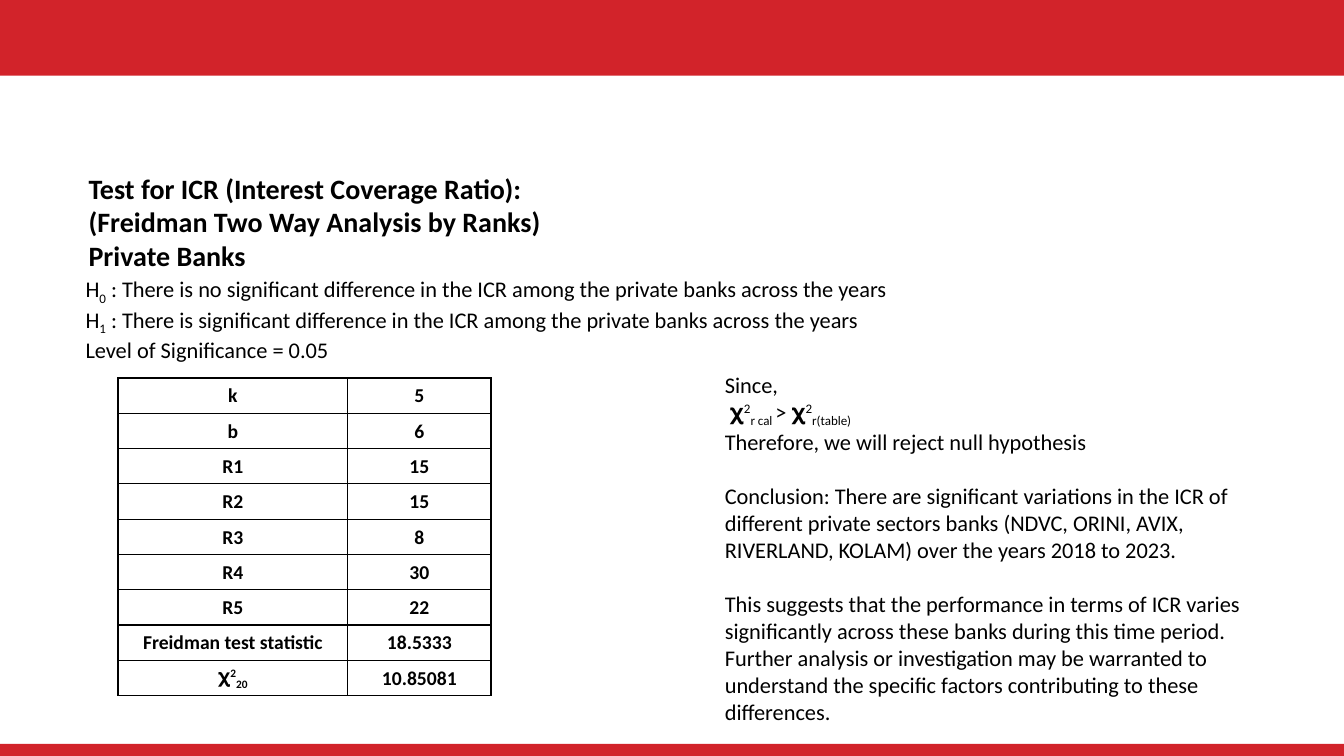
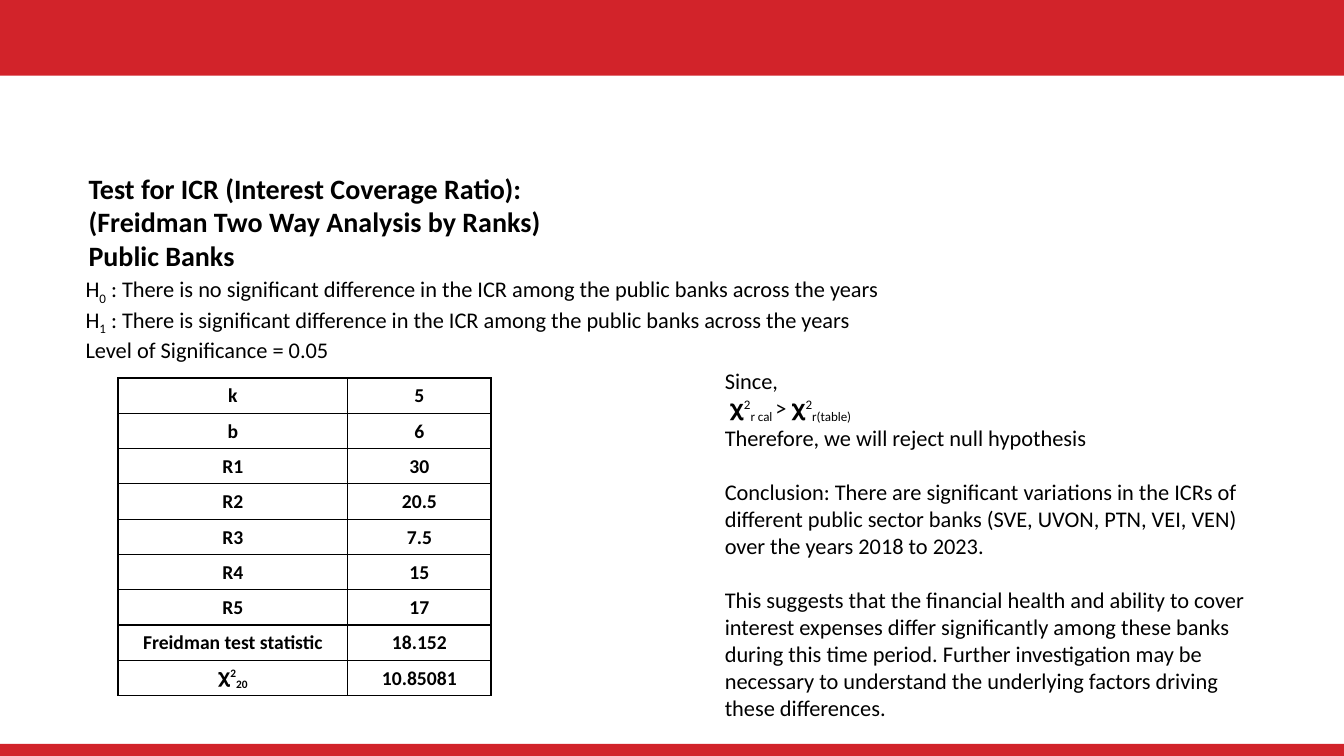
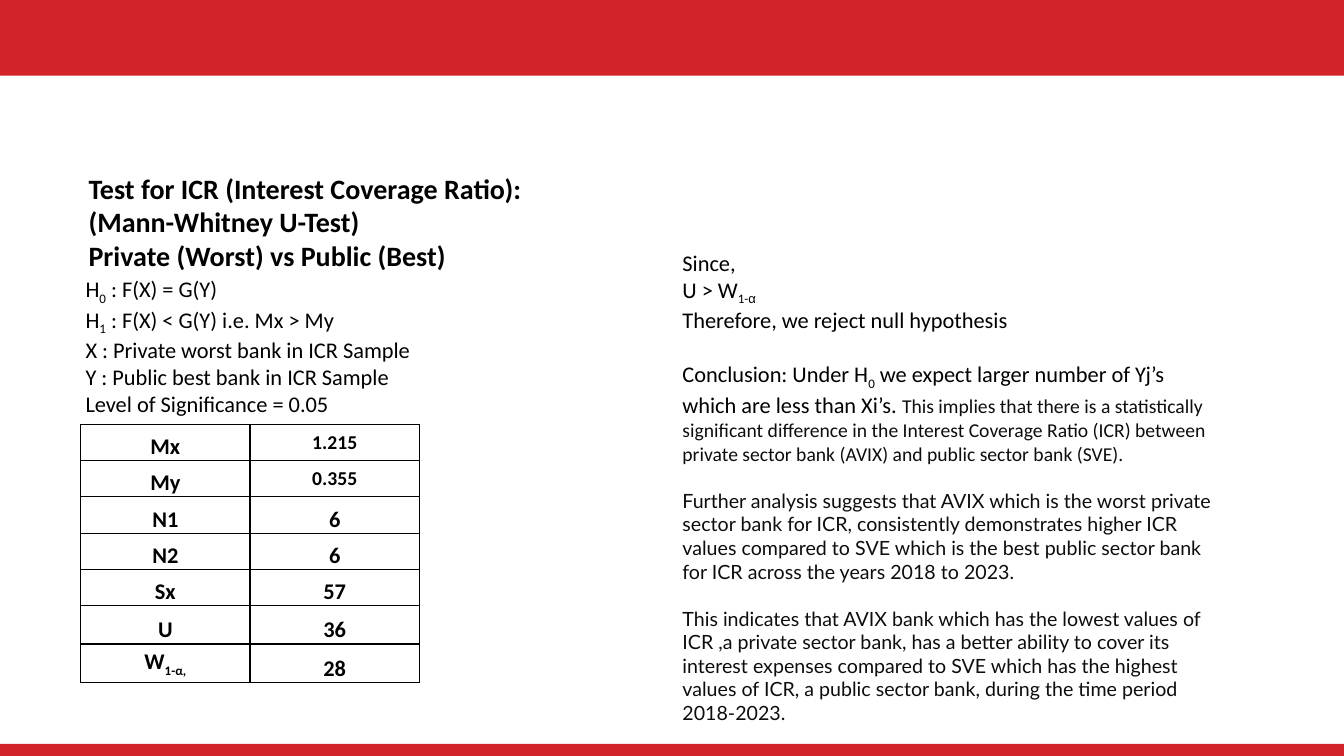
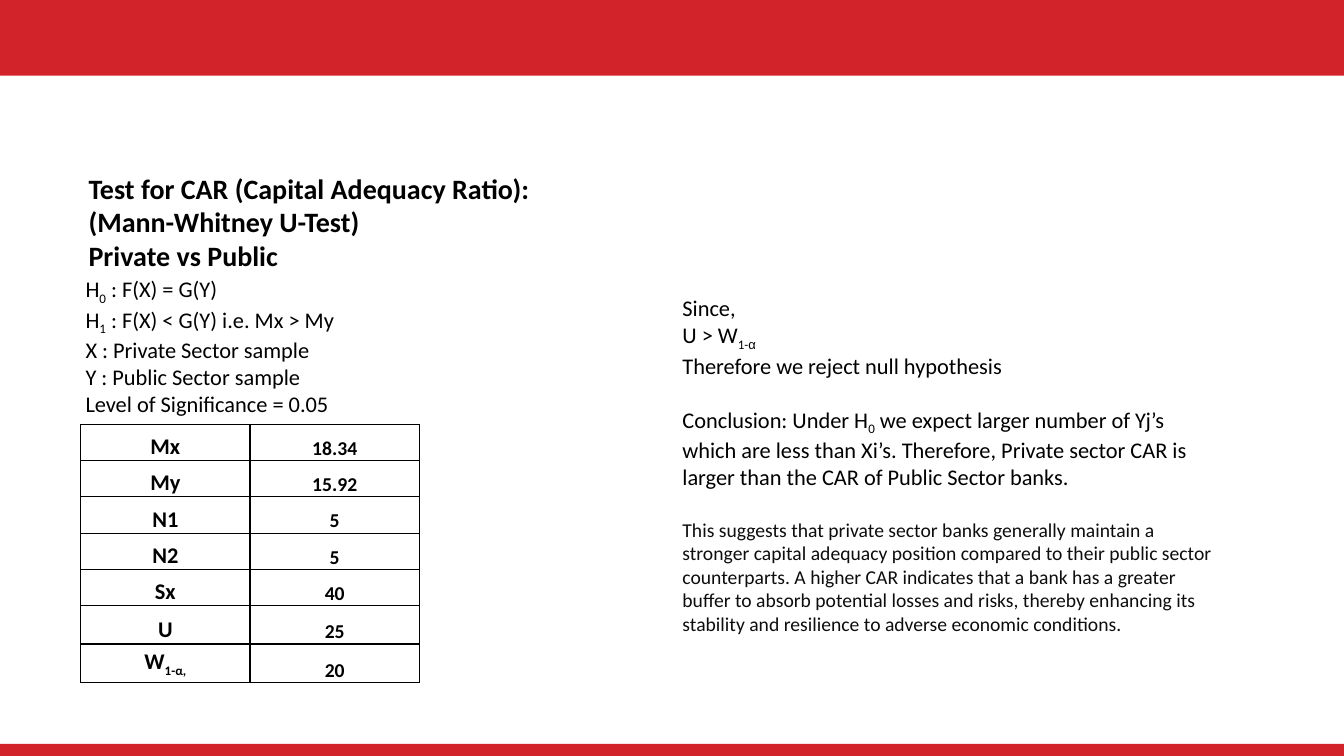
from lxml import etree
from pptx import Presentation
from pptx.dml.color import RGBColor
from pptx.enum import shapes, text
from pptx.oxml import ns
from pptx.util import Inches, Pt

RED = RGBColor(0xD2, 0x23, 0x2A)
BLACK = RGBColor(0, 0, 0)
INK = RGBColor(0x0D, 0x0D, 0x0D)
MIDDLE, BOTTOM = text.MSO_ANCHOR.MIDDLE, text.MSO_ANCHOR.BOTTOM

BANDS = [(0, 0, 13.33, 0.75), (0, 7.38, 13.33, 0.12)]
TITLE_BOX = (0.78, 1.65, 6.75, 1.11)
BASE = {"name": "Calibri", "size": Pt(16), "bold": False, "color": BLACK, "baseline": 0}
TITLE = {"size": Pt(20), "bold": True}
SMALL = {"size": Pt(14), "color": INK}
MARKS = {
    "_": {"baseline": -25000},
    "^": {"baseline": 30000},
    "@": {"baseline": -25000, "name": "Arial"},
    "~": SMALL,
    "*": {**SMALL, "name": "Lato"},
}

FRIEDMAN = {
    "hypotheses_box": (0.75, 2.68, 8.23, 0.91),
    "table_at": (1.17, 3.75),
    "cols": [2.28, 1.42],
    "rows": [0.35] * 9,
    "labels": ["k", "b", "R1", "R2", "R3", "R4", "R5", "Freidman test statistic", "𝛘|^2|_20"],
    "label_sizes": [14] * 9,
    "value_sizes": [14] * 9,
    "label_anchors": [MIDDLE] * 9,
    "value_anchors": [MIDDLE] * 9,
}
MANN_WHITNEY = {
    "hypotheses_box": (0.75, 2.68, 4.14, 1.45),
    "table_at": (0.8, 4.21),
    "cols": [1.68, 1.68],
    "rows": [0.36] * 5 + [0.38] * 2,
    "labels": ["Mx", "My", "N1", "N2", "Sx", "U", "W|_1-α,"],
    "label_sizes": [16] * 7,
    "value_sizes": [14] * 7,
    "label_anchors": [BOTTOM] * 6 + [MIDDLE],
    "value_anchors": [BOTTOM] * 7,
}
ICR = "Test for ICR (Interest Coverage Ratio):"
LEVEL = "Level of Significance = 0.05"
CHI_RESULT = ["Since,", " 𝛘|^2|_r cal |> 𝛘|^2|_r(table)", "Therefore, we will reject null hypothesis"]
U_RESULT = ["Since,", "U > W|_1-|@α"]
U_HYPOTHESES = ["H|_0| : F(X) = G(Y)", "H|_1| : F(X) < G(Y) i.e. Mx > My"]
U_CONCLUSION = "Conclusion: Under H|_0| we expect larger number of Yj’s which are less than Xi’s. "


def friedman_hypotheses(sector):
    claim = f"significant difference in the ICR among the {sector} banks across the years"
    return [f"H|_0| : There is no {claim}", f"H|_1| : There is {claim}", LEVEL]


SLIDES = [
    {
        **FRIEDMAN,
        "title": [ICR, "(Freidman Two Way Analysis by Ranks)", "Private Banks"],
        "hypotheses": friedman_hypotheses("private"),
        "values": ["5", "6", "15", "15", "8", "30", "22", "18.5333", "10.85081"],
        "result_box": (7.09, 3.63, 5.52, 3.87),
        "result": CHI_RESULT,
        "remarks": [
            (19.5, "Conclusion: There are significant variations in the ICR of different private sectors "
                   "banks (NDVC, ORINI, AVIX, RIVERLAND, KOLAM) over the years 2018 to 2023."),
            (19.5, "This suggests that the performance in terms of ICR varies significantly across these "
                   "banks during this time period. Further analysis or investigation may be warranted to "
                   "understand the specific factors contributing to these differences."),
        ],
    },
    {
        **FRIEDMAN,
        "title": [ICR, "(Freidman Two Way Analysis by Ranks)", "Public Banks"],
        "hypotheses": friedman_hypotheses("public"),
        "values": ["5", "6", "30", "20.5", "7.5", "15", "17", "18.152", "10.85081"],
        "result_box": (7.09, 3.59, 5.52, 3.6),
        "result": CHI_RESULT,
        "remarks": [
            (19.5, "Conclusion: There are significant variations in the ICRs of different public sector "
                   "banks (SVE, UVON, PTN, VEI, VEN) over the years 2018 to 2023."),
            (19.5, "This suggests that the financial health and ability to cover interest expenses differ "
                   "significantly among these banks during this time period. Further investigation may be "
                   "necessary to understand the underlying factors driving these differences."),
        ],
    },
    {
        **MANN_WHITNEY,
        "title": [ICR, "(Mann-Whitney U-Test)", "Private (Worst) vs Public (Best)"],
        "hypotheses": U_HYPOTHESES + ["X : Private worst bank in ICR Sample",
                                      "Y : Public best bank in ICR Sample", LEVEL],
        "values": ["1.215", "0.355", "6", "6", "57", "36", "28"],
        "value_sizes": [14] * 2 + [16] * 5,
        "value_anchors": [MIDDLE] * 2 + [BOTTOM] * 5,
        "result_box": (6.67, 2.42, 5.52, 5.08),
        "result": U_RESULT + ["Therefore, we reject null hypothesis"],
        "remarks": [
            (19.5, U_CONCLUSION + "|~This implies that there is a statistically significant difference in "
                   "the Interest Coverage Ratio (ICR) between private sector bank (AVIX) and public sector "
                   "bank (SVE)."),
            (17, "*Further analysis suggests that AVIX which is the worst private sector bank for ICR, "
                 "consistently demonstrates higher ICR values compared to SVE which is the best public "
                 "sector bank for ICR across the years 2018 to 2023."),
            (17, "*This indicates that AVIX bank which has the lowest values of ICR ,a private sector bank, "
                 "has a better ability to cover its interest expenses compared to SVE which has the highest "
                 "values of ICR, a public sector bank, during the time period 2018-2023."),
        ],
    },
    {
        **MANN_WHITNEY,
        "title": ["Test for CAR (Capital Adequacy Ratio):", "(Mann-Whitney U-Test)", "Private vs Public"],
        "hypotheses": U_HYPOTHESES + ["X : Private Sector sample", "Y : Public Sector sample", LEVEL],
        "values": ["18.34", "15.92", "5", "5", "40", "25", "20"],
        "result_box": (6.67, 2.87, 5.52, 3.7),
        "result": U_RESULT + ["Therefore we reject null hypothesis"],
        "remarks": [
            (19.5, U_CONCLUSION + "Therefore, Private sector CAR is larger than the CAR of Public Sector "
                   "banks."),
            (19.5, "~This suggests that private sector banks generally maintain a stronger capital adequacy "
                   "position compared to their public sector counterparts. A higher CAR indicates that a "
                   "bank has a greater buffer to absorb potential losses and risks, thereby enhancing its "
                   "stability and resilience to adverse economic conditions."),
        ],
    },
]


def add_runs(p, line, style=None):
    for part in line.split("|"):
        mark = MARKS.get(part[0])
        r = p.add_run()
        r.text = part[1:] if mark else part
        fmt = {**BASE, **(style or {}), **(mark or {})}
        r.font.color.rgb = fmt.pop("color")
        baseline = fmt.pop("baseline")
        for key, value in fmt.items():
            setattr(r.font, key, value)
        if baseline:
            r._r.get_or_add_rPr().set("baseline", str(baseline))


def add_text(s, box, paragraphs, style=None):
    tf = s.shapes.add_textbox(*map(Inches, box)).text_frame
    tf.word_wrap = True
    tf.auto_size = text.MSO_AUTO_SIZE.SHAPE_TO_FIT_TEXT
    for i, (gap, line) in enumerate(paragraphs):
        p = tf.add_paragraph() if i else tf.paragraphs[0]
        p.space_before = Pt(gap)
        add_runs(p, line, style)


def add_bands(s):
    for box in BANDS:
        sp = s.shapes.add_shape(shapes.MSO_SHAPE.RECTANGLE, *map(Inches, box))
        sp.shadow.inherit = False
        sp.fill.solid()
        sp.fill.fore_color.rgb = RED
        sp.line.fill.background()


def set_borders(cell):
    pr = cell._tc.get_or_add_tcPr()
    for i, side in enumerate(("lnL", "lnR", "lnT", "lnB")):
        ln = etree.Element(ns.qn(f"a:{side}"), w=str(Pt(1)))
        fill = etree.SubElement(ln, ns.qn("a:solidFill"))
        etree.SubElement(fill, ns.qn("a:srgbClr"), val=str(BLACK))
        pr.insert(i, ln)


def fill_cell(cell, line, size, anchor):
    fmt = {"margin_left": Inches(0.01), "margin_right": Inches(0.01), "margin_top": Inches(0.01),
           "margin_bottom": 0, "vertical_anchor": anchor}
    for key, value in fmt.items():
        setattr(cell, key, value)
    cell.fill.background()
    set_borders(cell)
    p = cell.text_frame.paragraphs[0]
    p.alignment = text.PP_ALIGN.CENTER
    add_runs(p, line, {"size": Pt(size), "bold": True})


def add_results_table(s, d):
    size = (sum(d["cols"]), sum(d["rows"]))
    table = s.shapes.add_table(len(d["rows"]), 2, *map(Inches, d["table_at"] + size)).table
    table.first_row = table.horz_banding = False
    for col, width in zip(table.columns, d["cols"]):
        col.width = Inches(width)
    for row, height in zip(table.rows, d["rows"]):
        row.height = Inches(height)
    for c, kind in enumerate(("label", "value")):
        cells = zip(d[f"{kind}s"], d[f"{kind}_sizes"], d[f"{kind}_anchors"])
        for i, content in enumerate(cells):
            fill_cell(table.cell(i, c), *content)


def plain(lines):
    return [(0, line) for line in lines]


def main():
    prs = Presentation()
    prs.slide_width, prs.slide_height = Inches(13.33), Inches(7.5)
    for d in SLIDES:
        s = prs.slides.add_slide(prs.slide_layouts[6])
        add_bands(s)
        add_text(s, TITLE_BOX, plain(d["title"]), TITLE)
        add_text(s, d["hypotheses_box"], plain(d["hypotheses"]))
        add_results_table(s, d)
        add_text(s, d["result_box"], plain(d["result"]) + d["remarks"])
    prs.save("out.pptx")


if __name__ == "__main__":
    main()
